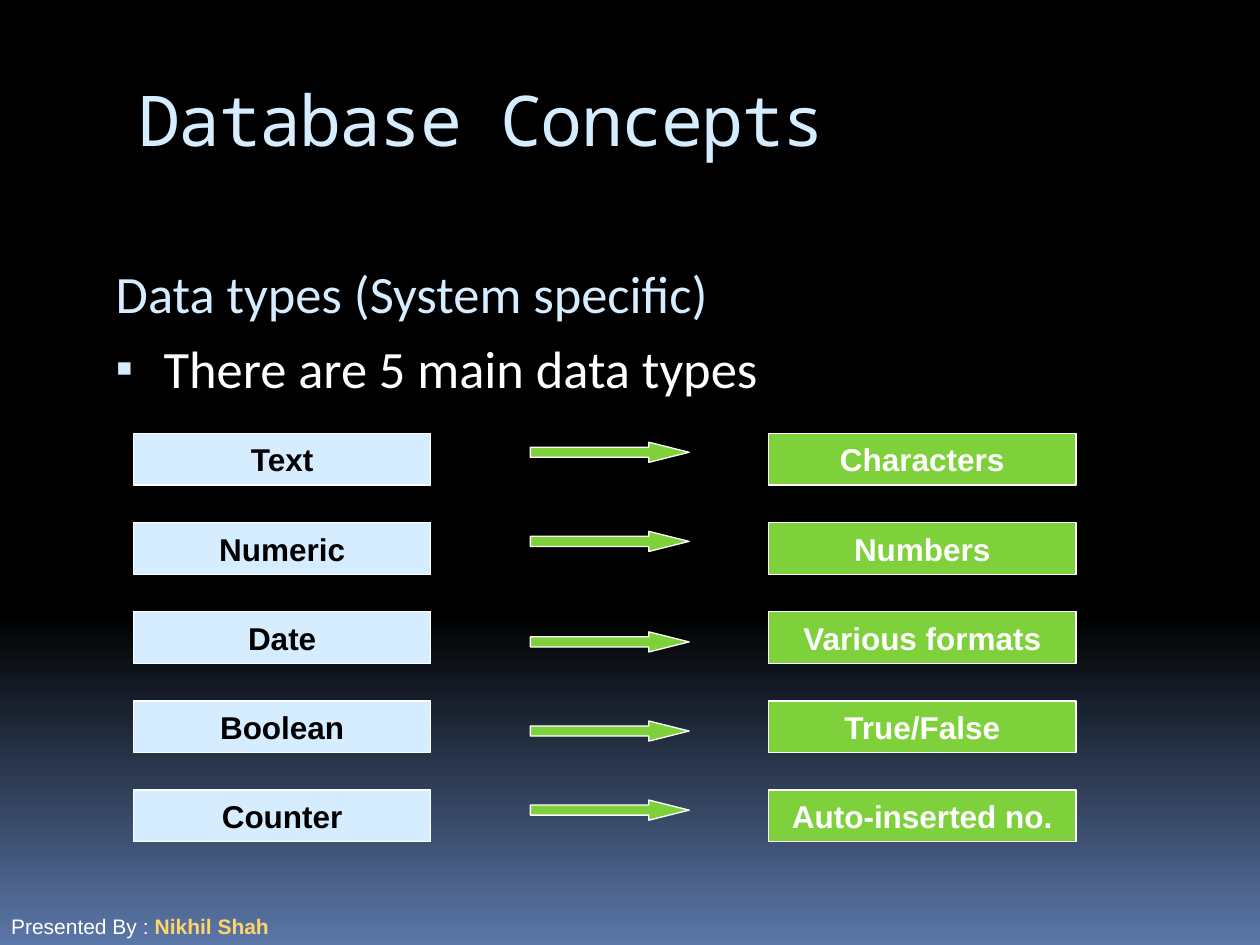
from lxml.etree import SubElement
from pptx import Presentation
from pptx.dml.color import RGBColor
from pptx.enum.shapes import MSO_SHAPE
from pptx.enum.text import MSO_ANCHOR, PP_ALIGN
from pptx.oxml.ns import qn
from pptx.util import Inches, Pt

BLACK = RGBColor(0x00, 0x00, 0x00)
WHITE = RGBColor(0xFF, 0xFF, 0xFF)
STEEL = RGBColor(0x5B, 0x77, 0xA8)
ICE = RGBColor(0xD6, 0xEC, 0xFF)
GREEN = RGBColor(0x7F, 0xD1, 0x3B)
GOLD = RGBColor(0xFE, 0xD4, 0x6C)

# Data type, its content, and the drop of the arrow below the row top
DATA_TYPES = [
    ("Text", "Characters", 0.07),
    ("Numeric", "Numbers", 0.07),
    ("Date", "Various formats", 0.16),
    ("Boolean", "True/False", 0.16),
    ("Counter", "Auto-inserted no.", 0.08),
]
ROW_HEIGHT = 0.41
ROW_PITCH = (6.27 - 3.44) / (len(DATA_TYPES) - 1)


def add_run(paragraph, text, font_name, size, color, bold=False):
    """Append one formatted run to a paragraph."""
    run = paragraph.add_run()
    run.text = text
    run.font.name = font_name
    run.font.size = Pt(size)
    run.font.color.rgb = color
    run.font.bold = bold
    return run


def paint_background(slide):
    """Fade from black to steel blue over the lower third."""
    fill = slide.background.fill
    fill.gradient()
    fill.gradient_angle = 270
    for stop, position, color in zip(fill.gradient_stops, (0.65, 1), (BLACK, STEEL)):
        stop.position = position
        stop.color.rgb = color


def place_title(slide, left, top, width, height):
    """Move and format the title placeholder."""
    title = slide.shapes.title
    title.left, title.top = Inches(left), Inches(top)
    title.width, title.height = Inches(width), Inches(height)
    title.text_frame.vertical_anchor = MSO_ANCHOR.TOP
    paragraph = title.text_frame.paragraphs[0]
    paragraph.alignment = PP_ALIGN.LEFT
    run = add_run(paragraph, "Database Concepts", "Noto Sans Mono", 40, ICE)
    run.font._element.set("spc", "-100")


def add_bullet(properties):
    """Give paragraph properties a small square bullet."""
    color = SubElement(properties, qn("a:buClr"))
    SubElement(color, qn("a:srgbClr"), val=str(ICE))
    SubElement(properties, qn("a:buSzPct"), val="95000")
    SubElement(properties, qn("a:buFont"), typeface="Arial")
    SubElement(properties, qn("a:buChar"), char="▪")


def add_introduction(slide, left, top, width, height):
    """Add the heading and its bulleted statement."""
    box = slide.shapes.add_textbox(Inches(left), Inches(top), Inches(width), Inches(height))
    frame = box.text_frame
    frame.word_wrap = True
    heading, statement = frame.paragraphs[0], frame.add_paragraph()
    for paragraph, text, color in (
        (heading, "Data types (System specific)", ICE),
        (statement, "There are 5 main data types", WHITE),
    ):
        paragraph.space_before = Pt(7)
        properties = paragraph._p.get_or_add_pPr()
        properties.set("marL", str(Inches(0.45)))
        properties.set("indent", str(Inches(-0.38)))
        add_run(paragraph, text, "Calibri", 30, color)
    add_bullet(statement._p.get_or_add_pPr())


def add_block(shapes, kind, left, top, width, height, fill):
    """Add a filled shape with a thin white outline."""
    shape = shapes.add_shape(kind, Inches(left), Inches(top), Inches(width), Inches(height))
    shape.shadow.inherit = False
    shape.fill.solid()
    shape.fill.fore_color.rgb = fill
    shape.line.color.rgb = WHITE
    shape.line.width = Pt(0.75)
    return shape


def add_label(shapes, text, left, top, width, fill, color):
    """Add a rectangle with a bold centred label."""
    box = add_block(shapes, MSO_SHAPE.RECTANGLE, left, top, width, ROW_HEIGHT, fill)
    box.text_frame.word_wrap = True
    box.text_frame.vertical_anchor = MSO_ANCHOR.MIDDLE
    paragraph = box.text_frame.paragraphs[0]
    paragraph.alignment = PP_ALIGN.CENTER
    add_run(paragraph, text, "Arial", 18, color, bold=True)


def add_type_rows(slide, left, top):
    """Add one row per data type: name, arrow and content."""
    for index, (name, content, arrow_drop) in enumerate(DATA_TYPES):
        row_top = top + index * ROW_PITCH
        add_label(slide.shapes, name, left, row_top, 2.36, ICE, BLACK)
        group = slide.shapes.add_group_shape()
        add_label(group.shapes, content, left + 5.04, row_top, 2.44, GREEN, WHITE)
        arrow = add_block(group.shapes, MSO_SHAPE.RIGHT_ARROW,
                          left + 3.15, row_top + arrow_drop, 1.26, 0.16, GREEN)
        arrow.adjustments[0] = 0.5
        arrow.adjustments[1] = 2


def add_presenter(slide, left, top, width, height):
    """Add the presenter line at the foot of the slide."""
    box = slide.shapes.add_textbox(Inches(left), Inches(top), Inches(width), Inches(height))
    box.text_frame.word_wrap = False
    paragraph = box.text_frame.paragraphs[0]
    add_run(paragraph, "Presented By : ", "Arial", 12, WHITE)
    add_run(paragraph, "Nikhil Shah", "Arial", 12, GOLD, bold=True)


def build_presentation():
    """Build the slide and save it."""
    presentation = Presentation()
    presentation.slide_width, presentation.slide_height = Inches(10), Inches(7.5)
    slide = presentation.slides.add_slide(presentation.slide_layouts[5])
    paint_background(slide)
    add_presenter(slide, -0.01, 7.2, 2.27, 0.3)
    place_title(slide, 1, 0.56, 8.5, 1)
    add_introduction(slide, 0.75, 2.02, 8.42, 1.3)
    add_type_rows(slide, 1.06, 3.44)
    presentation.save("out.pptx")


build_presentation()
